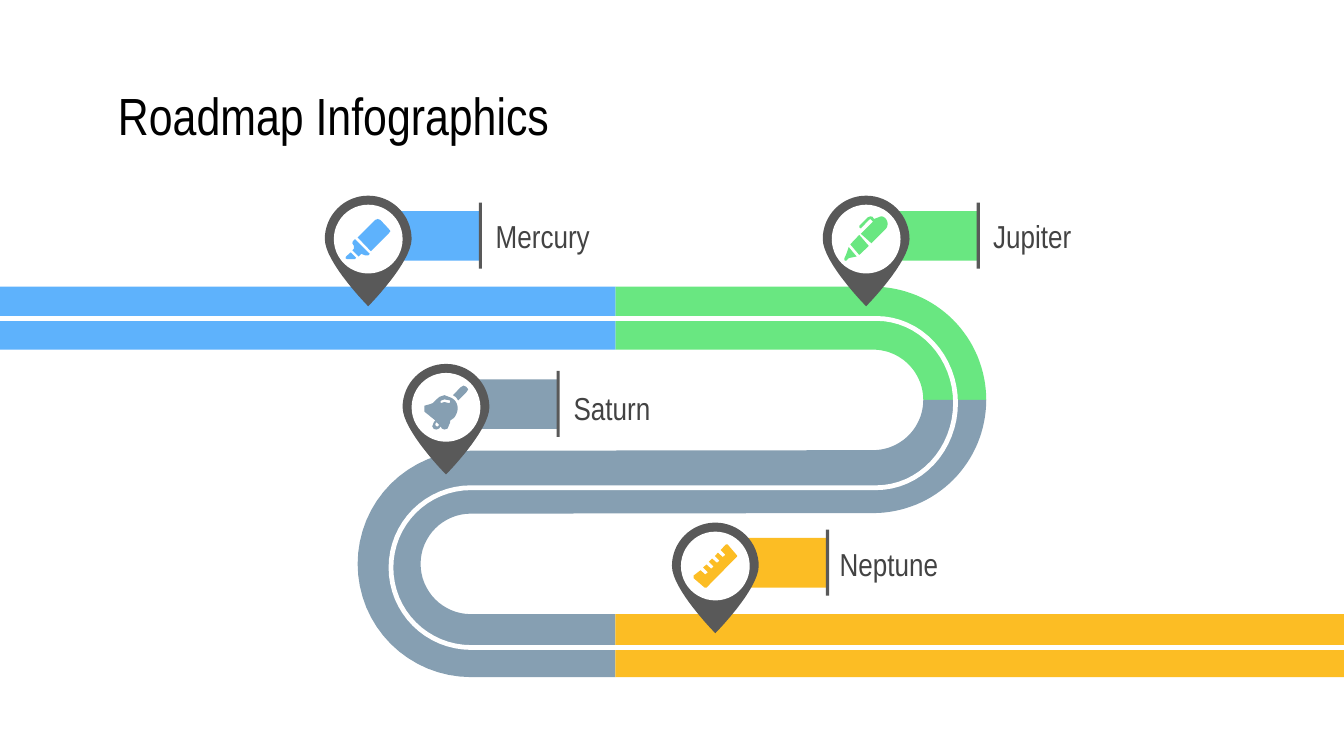
"""Build a winding roadmap slide with four labelled milestone pins."""
from dataclasses import dataclass
from math import cos, radians, sin

from pptx import Presentation
from pptx.dml.color import RGBColor
from pptx.enum.shapes import MSO_SHAPE
from pptx.enum.text import MSO_ANCHOR, PP_ALIGN
from pptx.slide import Slide
from pptx.util import Cm, Pt

BLUE, GREEN, SLATE, AMBER = "5EB2FC", "69E781", "869FB2", "FCBD24"
WHITE, BLACK, PIN_GRAY, LABEL_GRAY = "FFFFFF", "000000", "595959", "434343"


def color(hex_code):
    return RGBColor.from_string(hex_code)


def arc(x, y, rx, ry, start, end, steps=32):
    angles = [radians(start + (end - start) * i / steps) for i in range(steps + 1)]
    return [(x + rx * cos(a), y + ry * sin(a)) for a in angles]


def bezier(*controls, steps=16):
    def point(t):
        weights = ((1 - t) ** 3, 3 * t * (1 - t) ** 2, 3 * t * t * (1 - t), t ** 3)
        return tuple(sum(w * c[axis] for w, c in zip(weights, controls)) for axis in (0, 1))
    return [point(i / steps) for i in range(steps + 1)]


def write(frame, text, size=17, font="Arial Narrow", ink=LABEL_GRAY, inset=0.25):
    frame.word_wrap = True
    frame.vertical_anchor = MSO_ANCHOR.MIDDLE
    frame.margin_left = frame.margin_right = Cm(inset)
    frame.margin_top = frame.margin_bottom = Cm(inset)
    paragraph = frame.paragraphs[0]
    paragraph.alignment = PP_ALIGN.LEFT
    run = paragraph.add_run()
    run.text = text
    run.font.size, run.font.name = Pt(size), font
    run.font.color.rgb = color(ink)


@dataclass
class RoadmapSlide:
    slide: Slide
    line_width: float = 2.56

    def paint(self, shape, fill):
        shape.shadow.inherit = False
        shape.fill.solid()
        shape.fill.fore_color.rgb = color(fill)
        shape.line.fill.background()

    def title(self, text, left, top, width, height):
        heading = self.slide.shapes.title
        heading.left, heading.top = Cm(left), Cm(top)
        heading.width, heading.height = Cm(width), Cm(height)
        write(heading.text_frame, text, size=28, ink=BLACK)

    def label(self, text, left, top):
        box = self.slide.shapes.add_textbox(Cm(left), Cm(top), Cm(3.58), Cm(1.19))
        write(box.text_frame, text)

    def preset(self, kind, left, top, width, height, fill):
        self.paint(self.slide.shapes.add_shape(
            kind, Cm(left), Cm(top), Cm(width), Cm(height)), fill)

    def freeform(self, contours, x=0, y=0, close=True):
        builder = None
        for contour in contours:
            first, *rest = [(Cm(x + px), Cm(y + py)) for px, py in contour]
            if builder is None:
                builder = self.slide.shapes.build_freeform(*first)
            else:
                builder.move_to(*first)
            builder.add_line_segments(rest, close=close)
        return builder.convert_to_shape()

    def outline(self, contours, fill, x=0, y=0):
        self.paint(self.freeform(contours, x, y), fill)

    def lane_line(self, points):
        lane = self.freeform([points], close=False)
        lane.shadow.inherit = False
        lane.fill.background()
        lane.line.color.rgb = color(WHITE)
        lane.line.width = Pt(self.line_width)

    def milestone(self, name, x, y, label_at, fill, icon):
        self.label(name, *label_at)
        self.preset(MSO_SHAPE.RECTANGLE, x + 0.38, y - 0.53, 1.75, 0.94, fill)
        self.preset(MSO_SHAPE.RECTANGLE, x + 2.09, y - 0.69, 0.06, 1.25, PIN_GRAY)
        head = arc(0, 0, 0.82, 0.82, 180, 360)
        right_side = bezier((0.82, 0), (0.82, 0.44), (0, 1.27), (0, 1.27))
        left_side = [(-px, py) for px, py in reversed(right_side)]
        self.outline([head + right_side + left_side], PIN_GRAY, x, y)
        self.preset(MSO_SHAPE.OVAL, x - 0.65, y - 0.65, 1.3, 1.3, WHITE)
        for contours in icon:
            self.outline(contours, fill, x, y)


HIGHLIGHTER = [
    [[(0.13, -0.36), (-0.2, -0.03), (0.05, 0.23), (0.38, -0.1), (0.42, -0.15),
      (0.38, -0.2), (0.23, -0.36), (0.18, -0.38)]],
    [[(-0.25, 0), (-0.29, 0.04), (-0.3, 0.08), (-0.27, 0.13), (-0.27, 0.18), (-0.3, 0.21),
      (-0.18, 0.33), (-0.13, 0.28), (-0.05, 0.31), (0, 0.31), (0.03, 0.28)]],
    [[(-0.33, 0.25), (-0.42, 0.33), (-0.43, 0.36), (-0.4, 0.38), (-0.25, 0.38),
      (-0.23, 0.35)]],
]
PEN = [
    [[(-0.33, 0.15), (-0.38, 0.3), (-0.41, 0.36), (-0.41, 0.4), (-0.38, 0.41),
      (-0.33, 0.36), (-0.18, 0.33)]],
    [[(-0.13, -0.08), (-0.3, 0.1), (-0.13, 0.3), (0.05, 0.13)]],
    [[(0.08, -0.43), (0.03, -0.41), (-0.13, -0.25), (-0.13, -0.22), (-0.1, -0.2),
      (0.05, -0.36), (0.08, -0.38), (0.13, -0.33), (-0.1, -0.1), (0.1, 0.08)]
     + bezier((0.36, -0.18), (0.46, -0.28), (0.38, -0.43), (0.28, -0.43))
     + [(0.15, -0.38), (0.12, -0.42)]],
]
BELL = [
    [[(-0.03, -0.23), (-0.12, -0.2), (-0.18, -0.15), (-0.25, -0.08), (-0.3, -0.06),
      (-0.41, -0.03), (-0.41, 0.08), (-0.2, 0.25), (-0.23, 0.28), (-0.26, 0.36),
      (-0.23, 0.41), (-0.18, 0.42), (-0.13, 0.4), (-0.1, 0.36), (-0.08, 0.4),
      (-0.03, 0.42), (0.03, 0.4), (0.08, 0.28), (0.08, 0.25)]
     + bezier((0.15, 0.2), (0.25, 0.08), (0.25, -0.1), (0.1, -0.18)),
     [(-0.03, -0.15), (0.08, -0.13), (0.08, -0.09), (0.05, -0.08), (-0.03, -0.1),
      (-0.09, -0.08), (-0.11, -0.1), (-0.09, -0.13)],
     [(-0.18, 0.28), (-0.13, 0.33), (-0.15, 0.36), (-0.18, 0.36), (-0.2, 0.34),
      (-0.2, 0.31)]],
    [[(0.33, -0.41), (0.28, -0.38), (0.13, -0.23), (0.19, -0.19), (0.23, -0.13),
      (0.38, -0.28), (0.42, -0.34), (0.38, -0.39)]],
]
NOTCH = [(0.1, -0.3), (0.19, -0.21), (0.14, -0.17), (0.05, -0.25)]
RULER = [
    [[(0.2, -0.41)]
     + [(px - 0.11 * i, py + 0.11 * i) for i in range(4) for px, py in NOTCH]
     + [(-0.41, 0.18), (-0.41, 0.23), (-0.2, 0.41), (-0.17, 0.41), (0.41, -0.18),
        (0.41, -0.2), (0.23, -0.41)]],
]
MILESTONES = [
    ("Mercury", 6.96, 4.52, (9.12, 3.86), BLUE, HIGHLIGHTER),
    ("Neptune", 13.52, 10.7, (15.62, 10.06), AMBER, RULER),
    ("Jupiter", 16.37, 4.52, (18.52, 3.86), GREEN, PEN),
    ("Saturn", 8.43, 7.7, (10.59, 7.11), SLATE, BELL),
]


def draw_road(roadmap):
    split, outer, inner = 11.63, 2.14, 0.95
    right, left = (16.5, 7.56), (8.9, 10.66)
    top, bottom = right[1] - outer, left[1] + inner
    band = outer - inner
    roadmap.outline([[(split, top + band), (split, top)]
                     + arc(*right, outer, outer, -90, 0)
                     + arc(*right, inner, inner, 0, -90)], GREEN)
    roadmap.preset(MSO_SHAPE.RECTANGLE, 0, top, split, band, BLUE)
    roadmap.outline([arc(*right, outer, outer, 0, 90)
                     + arc(*left, inner, inner, 270, 90)
                     + [(split, bottom), (split, bottom + band)]
                     + arc(*left, outer, outer, 90, 270)
                     + arc(*right, inner, inner, 90, 0)], SLATE)
    roadmap.preset(MSO_SHAPE.RECTANGLE, split, bottom, 25.4 - split, band, AMBER)
    roadmap.lane_line([(0, 6.02)] + arc(16.56, 7.62, 1.5, 1.6, -90, 90)
                      + arc(8.9, 10.73, 1.51, 1.51, 270, 90) + [(25.4, 12.24)])


def main():
    deck = Presentation()
    deck.slide_width, deck.slide_height = Cm(25.4), Cm(14.29)
    roadmap = RoadmapSlide(deck.slides.add_slide(deck.slide_layouts[5]))
    roadmap.title("Roadmap Infographics", 1.98, 1.5, 21.46, 1.35)
    draw_road(roadmap)
    for milestone in MILESTONES:
        roadmap.milestone(*milestone)
    deck.save("out.pptx")


if __name__ == "__main__":
    main()
